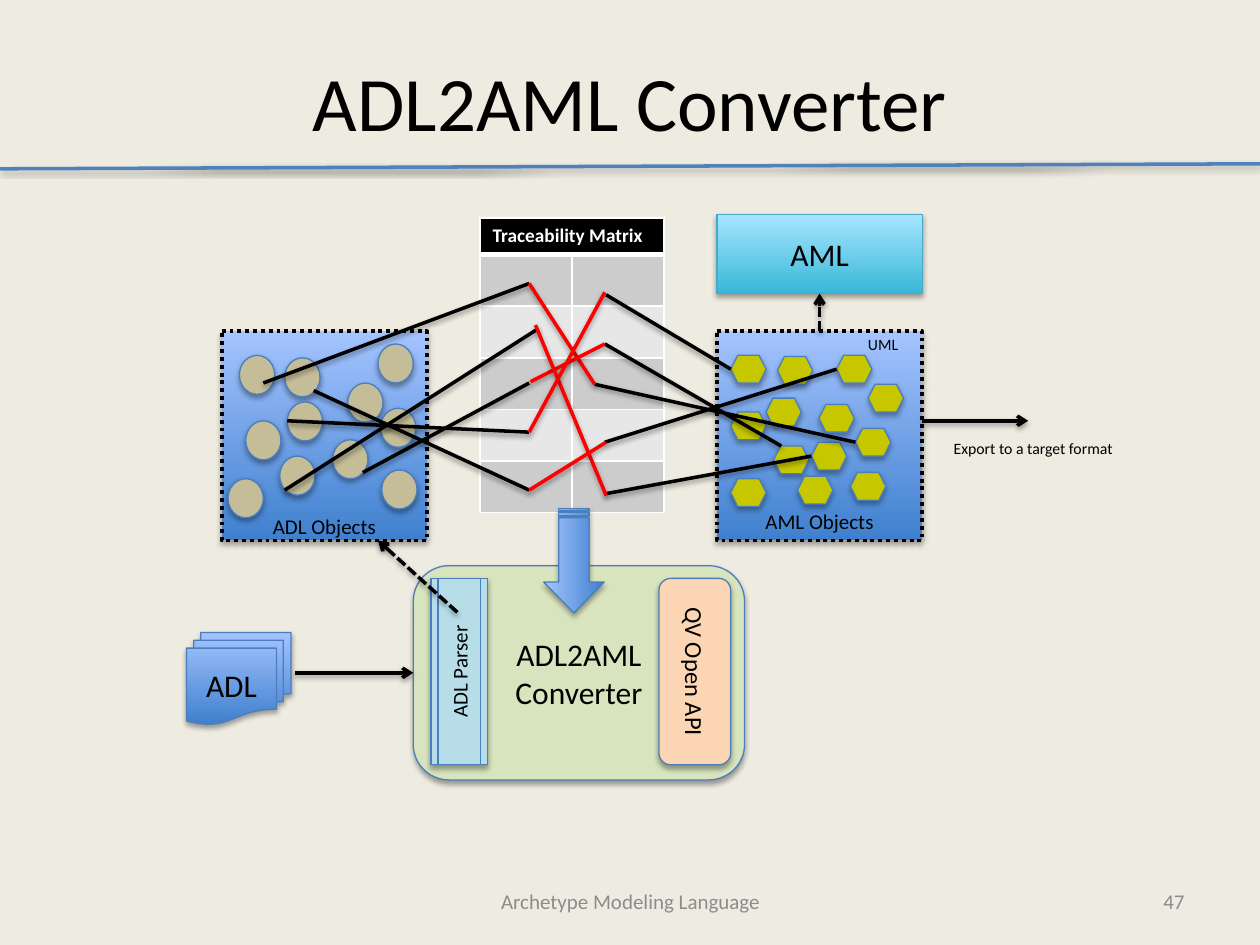
"""Build the ADL2AML Converter slide."""
from dataclasses import dataclass
from typing import Optional

import lxml.etree
import pptx
import pptx.dml.color
import pptx.enum.dml
import pptx.enum.shapes
import pptx.enum.text
import pptx.oxml.ns
import pptx.util

KIND = pptx.enum.shapes.MSO_SHAPE
ALIGN = pptx.enum.text.PP_ALIGN
ANCHOR = pptx.enum.text.MSO_ANCHOR
DASH = pptx.enum.dml.MSO_LINE.SQUARE_DOT
DOT = pptx.enum.dml.MSO_LINE.ROUND_DOT

BLACK = pptx.dml.color.RGBColor(0x00, 0x00, 0x00)
WHITE = pptx.dml.color.RGBColor(0xFF, 0xFF, 0xFF)
RED = pptx.dml.color.RGBColor(0xFF, 0x00, 0x00)
GREY = pptx.dml.color.RGBColor(0x8C, 0x8C, 0x8C)
PAPER = pptx.dml.color.RGBColor(0xEE, 0xEC, 0xE1)
RULE = pptx.dml.color.RGBColor(0x4F, 0x81, 0xBD)
EDGE = pptx.dml.color.RGBColor(0x4B, 0x7E, 0xBC)
TEAL = pptx.dml.color.RGBColor(0x46, 0xAA, 0xC5)
DEEP = pptx.dml.color.RGBColor(0x3F, 0x80, 0xCE)
PALE = pptx.dml.color.RGBColor(0xA4, 0xC4, 0xFF)
AQUA = pptx.dml.color.RGBColor(0x39, 0xB7, 0xD8)
SKY = pptx.dml.color.RGBColor(0xA7, 0xE6, 0xFF)
GREEN = pptx.dml.color.RGBColor(0xD7, 0xE4, 0xBD)
ICE = pptx.dml.color.RGBColor(0xB7, 0xDE, 0xE8)
PEACH = pptx.dml.color.RGBColor(0xFC, 0xD5, 0xB5)
SAND = pptx.dml.color.RGBColor(0xC4, 0xBD, 0x97)
LIME = pptx.dml.color.RGBColor(0xC7, 0xC7, 0x00)
DARK = pptx.dml.color.RGBColor(0xCC, 0xCC, 0xCC)
LIGHT = pptx.dml.color.RGBColor(0xE7, 0xE7, 0xE7)


@dataclass
class Box:
    kind: KIND
    place: tuple
    fills: tuple
    text: str = ""
    size: float = 12
    edge: pptx.dml.color.RGBColor = EDGE
    width: float = 0.75
    dash: Optional[pptx.enum.dml.MSO_LINE] = None
    vert: str = ""


@dataclass
class Note:
    text: str
    place: tuple
    size: float
    align: ALIGN = ALIGN.CENTER
    anchor: ANCHOR = ANCHOR.TOP
    color: pptx.dml.color.RGBColor = BLACK


@dataclass
class Link:
    start: tuple
    end: tuple
    color: pptx.dml.color.RGBColor = BLACK
    dash: Optional[pptx.enum.dml.MSO_LINE] = None
    arrow: bool = False


def spans(values: tuple) -> list:
    return [pptx.util.Inches(value) for value in values]


def add(parent, tag: str, **attrs: str):
    return lxml.etree.SubElement(parent, pptx.oxml.ns.qn(tag), attrs)


def shade(effects, alpha: int, drop: float) -> None:
    shadow = add(effects, "a:outerShdw", blurRad=str(pptx.util.Pt(3.1)), dist=str(pptx.util.Pt(drop)),
                 dir="5400000", rotWithShape="0")
    add(add(shadow, "a:srgbClr", val="000000"), "a:alpha", val=str(alpha * 1000))


def write(frame, text: str, size: float, color, align=ALIGN.CENTER, bold: bool = False) -> None:
    frame.text = text
    for para in frame.paragraphs:
        para.alignment = align
        for run in para.runs:
            run.font.name = "Calibri"
            run.font.size = pptx.util.Pt(size)
            run.font.color.rgb = color
            run.font.bold = bold


def draw_box(slide, box: Box):
    shape = slide.shapes.add_shape(box.kind, *spans(box.place))
    if len(box.fills) == 1:
        shape.fill.solid()
        shape.fill.fore_color.rgb = box.fills[0]
    else:
        shape.fill.gradient()
        shape.fill.gradient_angle = 90
        for stop, color in zip(shape.fill.gradient_stops, box.fills):
            stop.color.rgb = color
    shape.line.color.rgb = box.edge
    shape.line.width = pptx.util.Pt(box.width)
    if box.dash:
        shape.line.dash_style = box.dash
    shape.shadow.inherit = False
    shade(shape._element.spPr.find(pptx.oxml.ns.qn("a:effectLst")), 35, 1.8)
    if box.text:
        write(shape.text_frame, box.text, box.size, BLACK)
        shape.text_frame.vertical_anchor = ANCHOR.MIDDLE
    if box.vert:
        shape.text_frame._txBody.bodyPr.set("vert", box.vert)
    return shape


def draw_note(slide, note: Note) -> None:
    frame = slide.shapes.add_textbox(*spans(note.place)).text_frame
    frame.word_wrap = True
    frame.vertical_anchor = note.anchor
    write(frame, note.text, note.size, note.color, note.align)


def draw_link(slide, link: Link):
    line = slide.shapes.add_connector(pptx.enum.shapes.MSO_CONNECTOR.STRAIGHT, *spans(link.start + link.end))
    line.line.color.rgb = link.color
    line.line.width = pptx.util.Pt(2)
    if link.dash:
        line.line.dash_style = link.dash
    if link.arrow:
        add(line.line._get_or_add_ln(), "a:tailEnd", type="arrow")
    shade(add(line._element.spPr, "a:effectLst"), 38, 1.6)
    return line


def draw_grid(slide) -> None:
    table = slide.shapes.add_table(6, 2, *spans((3.81, 1.73, 1.46, 2.34))).table
    for index, row in enumerate(table.rows):
        row.height = pptx.util.Inches(0.41 if index else 0.29)
        for cell in row.cells:
            props = cell._tc.get_or_add_tcPr()
            for side in ("L", "R", "T", "B"):
                thick = 3 if (index == 0 and side == "B") or (index == 1 and side == "T") else 1
                edge = add(props, "a:ln" + side, w=str(pptx.util.Pt(thick)))
                add(add(edge, "a:solidFill"), "a:srgbClr", val=str(WHITE))
            cell.fill.solid()
            cell.fill.fore_color.rgb = BLACK if index == 0 else (LIGHT, DARK)[index % 2]
    table.cell(0, 0).merge(table.cell(0, 1))
    write(table.cell(0, 0).text_frame, "Traceability Matrix", 11, WHITE, ALIGN.LEFT, True)


def draw_dots(slide, kind: KIND, points: tuple, height: float, color) -> None:
    for left, top in points:
        draw_box(slide, Box(kind, (left, top, 0.28, height), (color,)))


CIRCLES = ((1.9, 2.82), (1.95, 3.34), (2.26, 2.84), (2.28, 3.19), (2.76, 3.04), (2.22, 3.62),
           (2.64, 3.49), (3.03, 3.73), (3.02, 3.24), (3, 2.73), (1.81, 3.8))
HEXES = ((5.8, 2.82), (5.8, 3.27), (6.17, 2.83), (6.08, 3.16), (6.64, 2.82), (6.5, 3.21), (5.8, 3.8),
         (6.14, 3.54), (6.89, 3.05), (6.44, 3.51), (6.79, 3.4), (6.75, 3.75), (6.33, 3.78))
TRACES = (((2.09, 3.04), (4.2, 2.25)), ((2.26, 3.89), (4.27, 2.61)), ((2.28, 3.34), (4.2, 3.43)),
          ((2.49, 3.1), (4.2, 3.89)), ((4.81, 2.34), (5.8, 2.93)), ((4.8, 2.73), (6.2, 3.54)),
          ((4.8, 3.51), (6.64, 2.93)), ((4.8, 3.92), (6.44, 3.62)), ((4.72, 3.05), (6.79, 3.51)),
          ((2.88, 3.75), (4.2, 3.04)))
MAPS = (((4.2, 2.25), (4.72, 3.05)), ((4.21, 3.03), (4.8, 2.73)), ((4.25, 2.58), (4.81, 3.93)),
        ((4.8, 2.32), (4.2, 3.43)), ((4.2, 3.89), (4.81, 3.51)))
BLUES = (DEEP, PALE)


def main() -> None:
    deck = pptx.Presentation()
    deck.slide_width, deck.slide_height = spans((10, 7.5))
    slide = deck.slides.add_slide(deck.slide_layouts[6])
    slide.background.fill.solid()
    slide.background.fill.fore_color.rgb = PAPER

    core = draw_box(slide, Box(KIND.FLOWCHART_ALTERNATE_PROCESS, (3.28, 4.49, 2.63, 1.7), (GREEN,),
                               "ADL2AML\nConverter", 18))
    draw_note(slide, Note("ADL2AML Converter", (0.5, 0.3, 9, 1), 44, anchor=ANCHOR.MIDDLE))
    draw_note(slide, Note("Archetype Modeling Language", (3.42, 6.95, 3.17, 0.4), 12,
                          anchor=ANCHOR.MIDDLE, color=GREY))
    draw_note(slide, Note("47", (7.17, 6.95, 2.33, 0.4), 12, ALIGN.RIGHT, ANCHOR.MIDDLE, GREY))
    draw_link(slide, Link((0, 1.34), (10, 1.3), RULE))
    draw_grid(slide)

    draw_box(slide, Box(KIND.FLOWCHART_MULTIDOCUMENT, (1.48, 5.02, 0.83, 0.73), BLUES, "ADL", 18))
    draw_box(slide, Box(KIND.FLOWCHART_PREDEFINED_PROCESS, (3.42, 4.59, 0.45, 1.48), (ICE,),
                        "ADL Parser", vert="vert270"))
    feed = draw_link(slide, Link((2.34, 5.34), (3.28, 5.34), arrow=True))
    feed.end_connect(core, 1)

    panel = (1.63, 1.66)
    draw_box(slide, Box(KIND.FLOWCHART_PROCESS, (1.76, 2.63) + panel, BLUES, edge=BLACK, width=2.25, dash=DOT))
    draw_note(slide, Note("ADL Objects", (1.76, 4.03, 1.63, 0.3), 12))
    draw_dots(slide, KIND.FLOWCHART_CONNECTOR, CIRCLES, 0.31, SAND)
    draw_box(slide, Box(KIND.FLOWCHART_ALTERNATE_PROCESS, (5.23, 4.59, 0.57, 1.48), (PEACH,),
                        "QV Open API", 14, vert="vert"))
    draw_link(slide, Link((3.63, 4.86), (3, 4.29), dash=DASH, arrow=True))

    model = draw_box(slide, Box(KIND.FLOWCHART_PROCESS, (5.69, 2.63) + panel, BLUES,
                                edge=BLACK, width=2.25, dash=DOT))
    draw_note(slide, Note("AML Objects", (5.69, 3.99, 1.63, 0.3), 12))
    draw_dots(slide, KIND.HEXAGON, HEXES, 0.22, LIME)
    draw_note(slide, Note("UML", (6.79, 2.61, 0.59, 0.25), 9, ALIGN.LEFT))
    for color, pairs in ((BLACK, TRACES), (RED, MAPS)):
        for start, end in pairs:
            draw_link(slide, Link(start, end, color))

    arrow = draw_box(slide, Box(KIND.STRIPED_RIGHT_ARROW, (4.14, 4.21, 0.83, 0.48), BLUES))
    arrow.adjustments[1] = 0.51
    arrow.rotation = 270
    arrow._element.spPr.xfrm.set("flipH", "1")
    goal = draw_box(slide, Box(KIND.RECTANGLE, (5.69, 1.7, 1.63, 0.63), (AQUA, SKY), "AML", 18, TEAL))
    rise = draw_link(slide, Link((6.51, 2.63), (6.51, 2.34), dash=DASH, arrow=True))
    rise.begin_connect(model, 0)
    rise.end_connect(goal, 2)
    draw_link(slide, Link((7.32, 3.34), (8.16, 3.34), arrow=True))
    draw_note(slide, Note("Export to a target format", (7.47, 3.43, 1.55, 0.25), 9, ALIGN.LEFT))
    deck.save("out.pptx")


if __name__ == "__main__":
    main()
